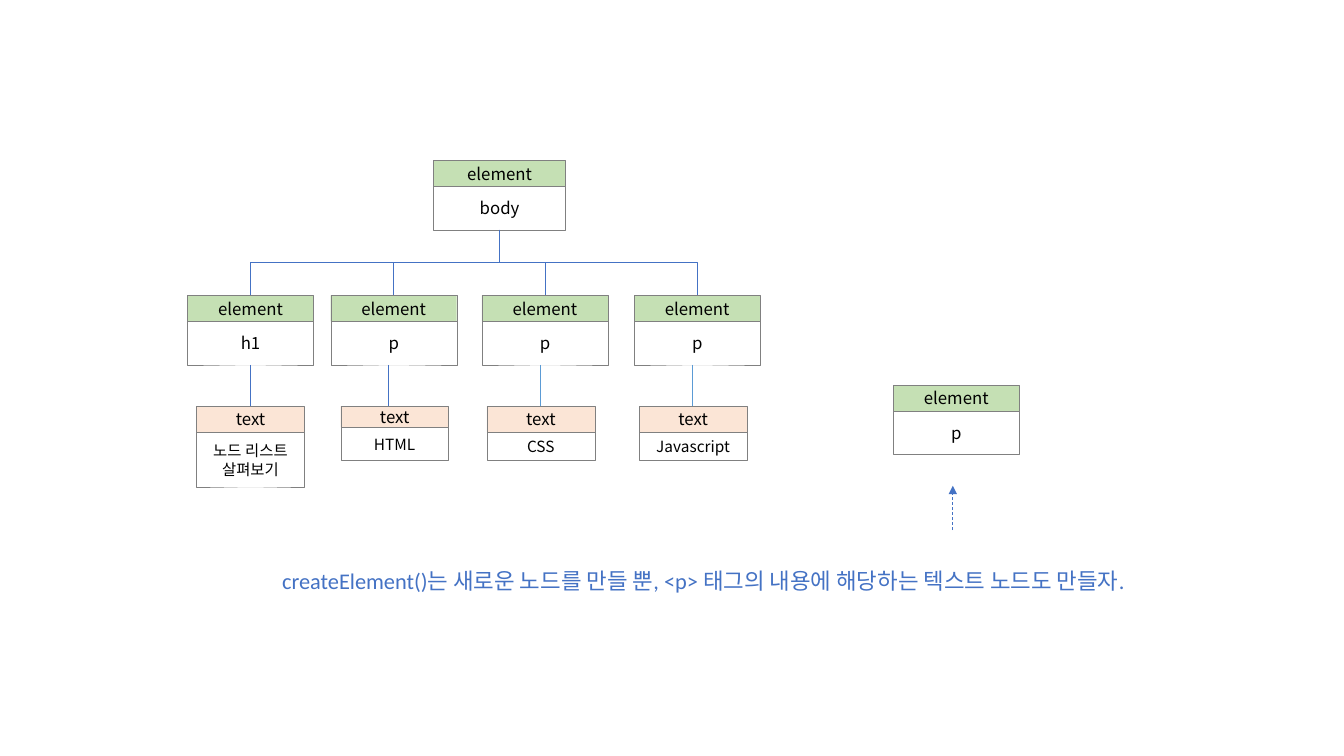
import pptx
import pptx.dml.color
import pptx.enum.dml
import pptx.enum.shapes
import pptx.enum.text
import pptx.oxml
import pptx.oxml.ns
import pptx.util

RGB = pptx.dml.color.RGBColor
GREEN = RGB(0xC5, 0xE0, 0xB4)
PEACH = RGB(0xFB, 0xE5, 0xD6)
WHITE = RGB(0xFF, 0xFF, 0xFF)
GRAY = RGB(0x80, 0x80, 0x80)
BLACK = RGB(0x00, 0x00, 0x00)
BLUE = RGB(0x44, 0x72, 0xC4)
SKY = RGB(0x5B, 0x9B, 0xD5)
FONT = "Noto Sans CJK KR"
KIND = pptx.enum.shapes.MSO_CONNECTOR
ALIGN = pptx.enum.text.PP_ALIGN

BODY_X, BODY_Y, BODY_W = 430, 159, 131
ROW_Y, LEAF_Y = 293, 403
NODE_W, LEAF_W = 125, 107
HEAD_H, NAME_H = 26, 43

# tag, node x, text, leaf x, leaf head height, leaf text height, link x, link colour
NODES = [
    ("h1", 186, "노드 리스트 살펴보기", 195, 26, 54, 248, BLUE),
    ("p", 328, "HTML", 338, 21, 33, 385, BLUE),
    ("p", 478, "CSS", 483, 26, 28, 536, SKY),
    ("p", 629, "Javascript", 634, 26, 28, 687, SKY),
]


def px(n):
    """Turn px, 100 to the inch, into EMU."""
    return pptx.util.Emu(round(n * 9144))


def style(para, size, name, color, align):
    para.alignment = align
    para.font.size = pptx.util.Pt(size)
    para.font.name = name
    para.font.color.rgb = color


def box(shapes, x, y, w, h, text, fill, size):
    rect = shapes.add_shape(pptx.enum.shapes.MSO_SHAPE.RECTANGLE,
                            px(x), px(y), px(w), px(h))
    rect.shadow.inherit = False
    rect.fill.solid()
    rect.fill.fore_color.rgb = fill
    rect.line.color.rgb = GRAY
    rect.line.width = pptx.util.Pt(0.25)
    frame = rect.text_frame
    frame.word_wrap = True
    frame.vertical_anchor = pptx.enum.text.MSO_ANCHOR.MIDDLE
    frame.text = text
    style(frame.paragraphs[0], size, FONT, BLACK, ALIGN.CENTER)


def card(slide, x, y, w, head, name, fill, top=HEAD_H, low=NAME_H, size=12):
    """Group a coloured heading with the white box below it."""
    group = slide.shapes.add_group_shape()
    box(group.shapes, x, y, w, top, head, fill, 12)
    box(group.shapes, x, y + top, w, low, name, WHITE, size)


def link(slide, x1, y1, x2, y2, color=BLUE, kind=KIND.STRAIGHT):
    line = slide.shapes.add_connector(kind, px(x1), px(y1), px(x2), px(y2))
    line.line.color.rgb = color
    line.line.width = pptx.util.Pt(0.5)
    pptx.oxml.ns.qn("a:effectLst")
    line._element.spPr.append(
        pptx.oxml.parse_xml('<a:effectLst xmlns:a="http://schemas.'
                            'openxmlformats.org/drawingml/2006/main"/>'))
    return line


def branch(slide, x1, y1, x2, y2):
    """Draw an elbow that leaves and arrives vertically."""
    w, h = y2 - y1, abs(x2 - x1)
    left, top = (x1 + x2 - w) / 2, (y1 + y2 - h) / 2
    ends = (left, left + w) if x2 < x1 else (left + w, left)
    line = link(slide, ends[0], top, ends[1], top + h, kind=KIND.ELBOW)
    turn = 90 if x2 < x1 else 270
    line._element.spPr.xfrm.set("rot", str(turn * 60000))


def arrow(slide, x, y1, y2):
    line = link(slide, x, y1, x, y2)
    line.line.dash_style = pptx.enum.dml.MSO_LINE.DASH
    tail = pptx.oxml.ns.qn("a:tailEnd")
    ln = line.line._get_or_add_ln()
    ln.append(ln.makeelement(tail, {"type": "triangle"}))


def note(slide, x, y, w, h, text):
    frame = slide.shapes.add_textbox(px(x), px(y), px(w), px(h)).text_frame
    frame.word_wrap = True
    frame.text = text
    para = frame.paragraphs[0]
    para.line_spacing = 1.5
    style(para, 16, "Calibri", BLUE, ALIGN.JUSTIFY)


def main():
    deck = pptx.Presentation()
    deck.slide_width, deck.slide_height = px(1333), px(750)
    slide = deck.slides.add_slide(deck.slide_layouts[6])

    card(slide, BODY_X, BODY_Y, BODY_W, "element", "body", GREEN)
    stem = BODY_X + BODY_W / 2
    foot = BODY_Y + HEAD_H + NAME_H
    for tag, x, text, leaf, top, low, mid, color in NODES:
        branch(slide, stem, foot, x + NODE_W / 2, ROW_Y)
        card(slide, x, ROW_Y, NODE_W, "element", tag, GREEN)
        link(slide, mid, ROW_Y + HEAD_H + NAME_H, mid, LEAF_Y, color)
        card(slide, leaf, LEAF_Y, LEAF_W, "text", text, PEACH, top, low, 11)

    card(slide, 886, 382, NODE_W, "element", "p", GREEN)
    arrow(slide, 945, 526, 482)
    note(slide, 270, 544, 1035, 46,
         "createElement()는 새로운 노드를 만들 뿐, "
         "<p> 태그의 내용에 해당하는 텍스트 노드도 만들자.")
    deck.save("out.pptx")


if __name__ == "__main__":
    main()
